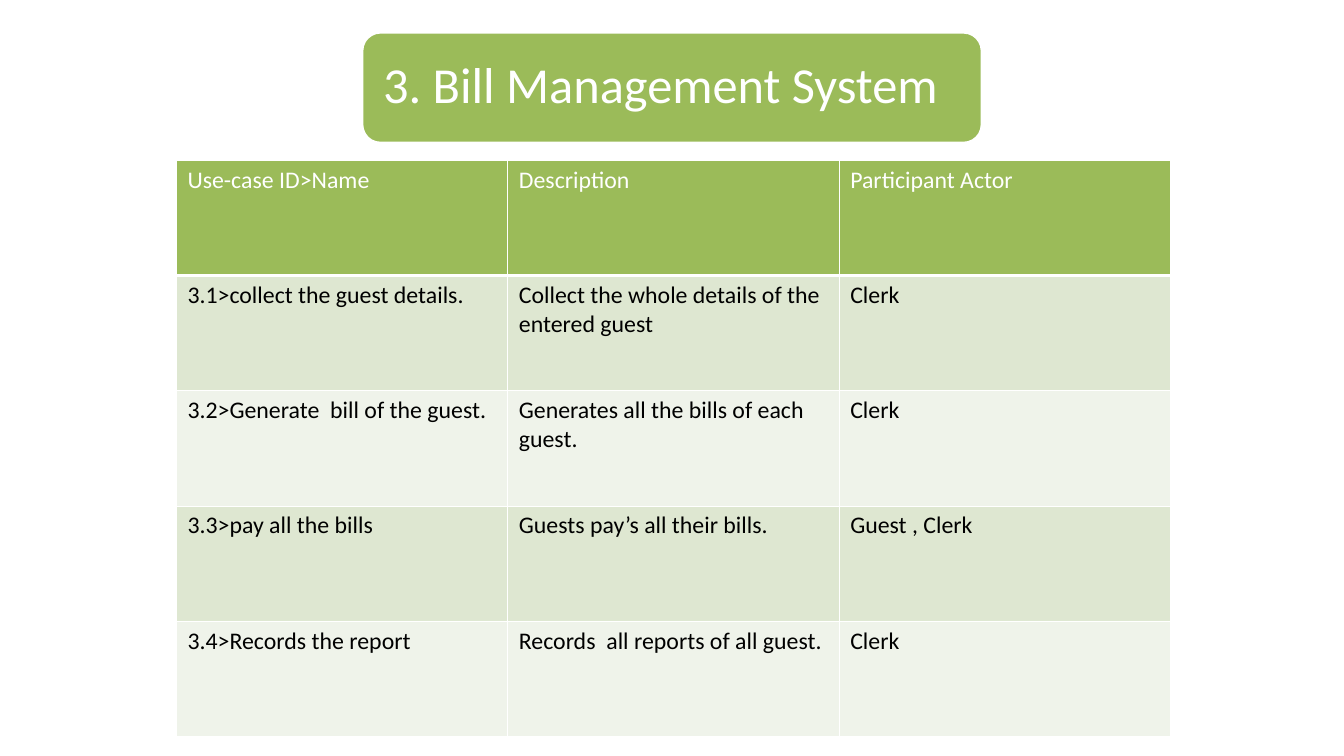
from lxml import etree
from pptx import Presentation
from pptx.dml.color import RGBColor
from pptx.enum.shapes import MSO_SHAPE
from pptx.enum.text import MSO_ANCHOR, MSO_AUTO_SIZE, PP_ALIGN
from pptx.oxml.ns import qn
from pptx.util import Inches, Pt

ROUND = MSO_SHAPE.ROUNDED_RECTANGLE
MIDDLE, TOP = MSO_ANCHOR.MIDDLE, MSO_ANCHOR.TOP
LEFT, NO_FIT = PP_ALIGN.LEFT, MSO_AUTO_SIZE.NONE

COLORS = {
    "green": "9BBB59",
    "band": "DEE7D1",
    "pale": "EFF3EA",
    "white": "FFFFFF",
    "black": "000000",
}
ROWS = [
    ("Use-case ID>Name", "Description", "Participant Actor"),
    ("3.1>collect the guest details.",
     "Collect the whole details of the entered guest", "Clerk"),
    ("3.2>Generate  bill of the guest.",
     "Generates all the bills of each guest.", "Clerk"),
    ("3.3>pay all the bills", "Guests pay’s all their bills.", "Guest , Clerk"),
    ("3.4>Records the report", "Records  all reports of all guest.", "Clerk"),
]


def rgb(name):
    return RGBColor.from_string(COLORS[name])


def write(frame, text, size=17, color="black", space=1.0):
    frame.text = text
    frame.word_wrap = True
    para = frame.paragraphs[0]
    para.alignment = LEFT
    para.line_spacing = space
    font = para.runs[0].font
    font.name, font.size, font.bold = "Calibri", Pt(size), False
    font.color.rgb = rgb(color)


deck = Presentation()
deck.slide_width, deck.slide_height = Inches(13.33), Inches(7.5)
slide = deck.slides.add_slide(deck.slide_layouts[5])

# Use-case table
grid = slide.shapes.add_table(
    len(ROWS), 3, Inches(1.75), Inches(1.59), Inches(9.86), Inches(5.72)).table
for row, texts in enumerate(ROWS):
    head = row == 0
    fill = "green" if head else "band" if row % 2 else "pale"
    for col, text in enumerate(texts):
        cell = grid.cell(row, col)
        cell.margin_left = cell.margin_right = Inches(0.11)
        cell.margin_top = cell.margin_bottom = Inches(0.05)
        cell.vertical_anchor = TOP
        write(cell.text_frame, text, color="white" if head else "black")

        # White cell borders, thicker under the header
        props = cell._tc.get_or_add_tcPr()
        for side in "LRTB":
            width = Pt(3 if head and side == "B" else 1)
            line = etree.SubElement(props, qn(f"a:ln{side}"), w=str(width))
            solid = etree.SubElement(line, qn("a:solidFill"))
            etree.SubElement(solid, qn("a:srgbClr"), val=COLORS["white"])
        cell.fill.solid()
        cell.fill.fore_color.rgb = rgb(fill)

# Title banner
banner = slide.shapes.add_shape(
    ROUND, Inches(3.59), Inches(0.32), Inches(6.15), Inches(1.1))
banner.shadow.inherit = False
banner.fill.solid()
banner.fill.fore_color.rgb = rgb("green")
banner.line.color.rgb = rgb("white")
banner.line.width = Pt(2)

# Title, raised above the banner
title = slide.shapes.title
title.left, title.top = Inches(3.65), Inches(0.37)
title.width, title.height = Inches(6.04), Inches(0.99)
frame = title.text_frame
frame.margin_left = frame.margin_right = Inches(0.15)
frame.margin_top = frame.margin_bottom = Inches(0.15)
frame.vertical_anchor = MIDDLE
frame.auto_size = NO_FIT
write(frame, "3. Bill Management System", size=36, color="white", space=0.9)
banner.element.addnext(title.element)

deck.save("out.pptx")
